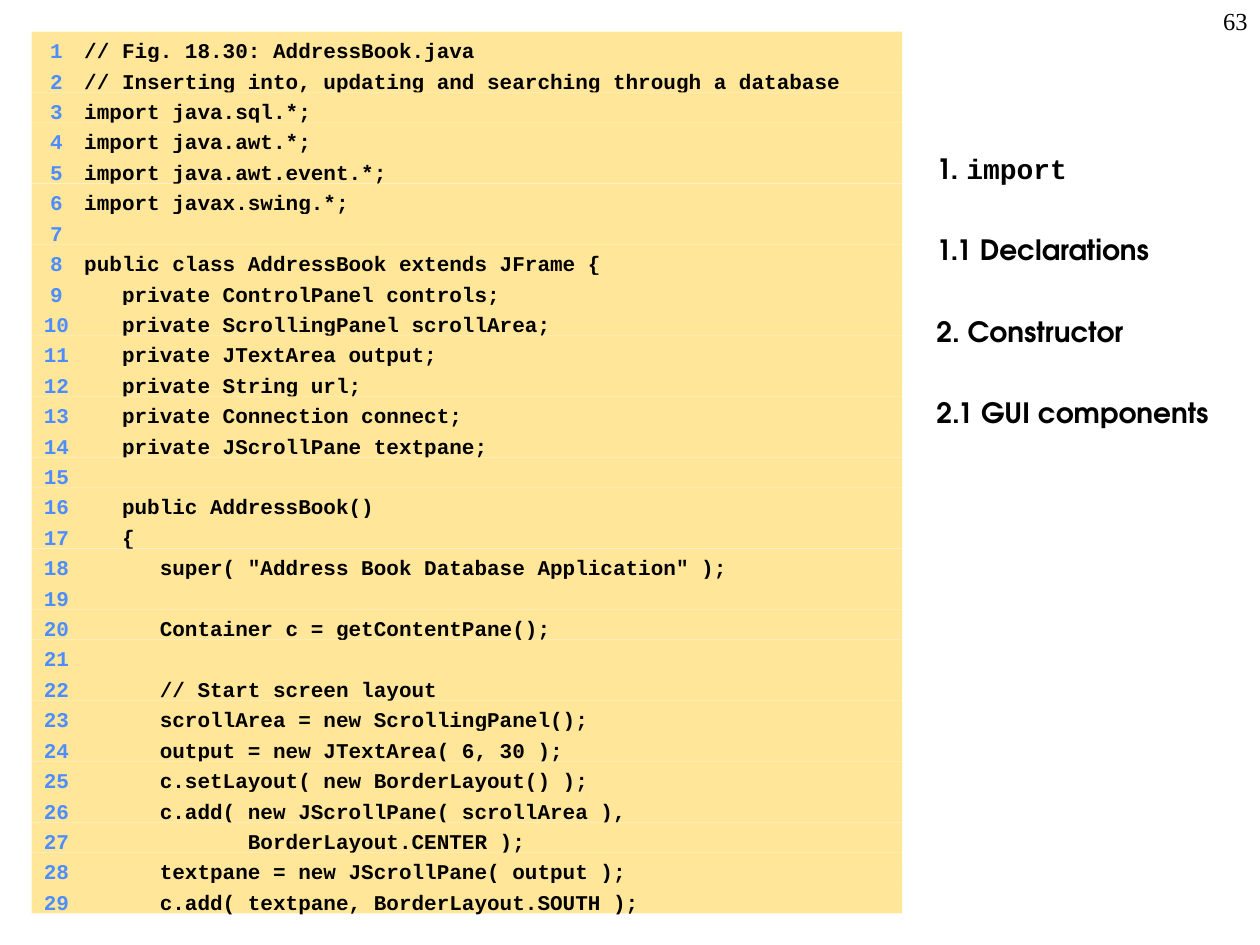
from lxml.etree import SubElement
from pptx import Presentation
from pptx.dml.color import RGBColor
from pptx.enum.shapes import MSO_SHAPE
from pptx.enum.text import MSO_ANCHOR, PP_ALIGN
from pptx.oxml.ns import qn
from pptx.util import Pt

CODE_LINES = [
    "// Fig. 18.30: AddressBook.java",
    "// Inserting into, updating and searching through a database",
    "import java.sql.*;",
    "import java.awt.*;",
    "import java.awt.event.*;",
    "import javax.swing.*;",
    "",
    "public class AddressBook extends JFrame {",
    "   private ControlPanel controls;",
    "   private ScrollingPanel scrollArea;",
    "   private JTextArea output;",
    "   private String url;",
    "   private Connection connect;",
    "   private JScrollPane textpane;",
    "",
    "   public AddressBook()",
    "   {",
    '      super( "Address Book Database Application" );',
    "",
    "      Container c = getContentPane();",
    "",
    "      // Start screen layout",
    "      scrollArea = new ScrollingPanel();",
    "      output = new JTextArea( 6, 30 );",
    "      c.setLayout( new BorderLayout() );",
    "      c.add( new JScrollPane( scrollArea ),",
    "             BorderLayout.CENTER );",
    "      textpane = new JScrollPane( output );",
    "      c.add( textpane, BorderLayout.SOUTH );",
]
CODE_FONT = "Courier New"
OUTLINE_FONT = "TeX Gyre Adventor"
OUTLINE = [
    [("1. ", OUTLINE_FONT), ("import", CODE_FONT)],
    [("1.1 Declarations", OUTLINE_FONT)],
    [("2. Constructor", OUTLINE_FONT)],
    [("2.1 GUI components", OUTLINE_FONT)],
]
PAGE_NUMBER = "63"

BLACK = RGBColor(0x00, 0x00, 0x00)
NUMBER_BLUE = RGBColor(0x4D, 0x8D, 0xFF)
CODE_YELLOW = RGBColor(0xFF, 0xE6, 0x99)

CODE_LEFT, CODE_TOP, CODE_WIDTH, CODE_HEIGHT = 18, 18, 497.5, 504
ROW_HEIGHT = CODE_HEIGHT / len(CODE_LINES)
TAB_STOPS = [(10.8, "r"), (23.04, "l")]
OUTLINE_GAP = 27.15


def add_run(paragraph, text, font_name, size, color, bold=True):
    run = paragraph.add_run()
    run.text = text
    run.font.name = font_name
    run.font.size = Pt(size)
    run.font.bold = bold
    run.font.color.rgb = color


def add_tab_stops(paragraph):
    tab_list = SubElement(paragraph._p.get_or_add_pPr(), qn("a:tabLst"))
    for position, alignment in TAB_STOPS:
        SubElement(tab_list, qn("a:tab"), pos=str(Pt(position)), algn=alignment)


def add_code_row(slide, index, code):
    row = slide.shapes.add_shape(
        MSO_SHAPE.RECTANGLE, Pt(CODE_LEFT), Pt(CODE_TOP + index * ROW_HEIGHT),
        Pt(CODE_WIDTH), Pt(ROW_HEIGHT))
    row.shadow.inherit = False
    row.fill.solid()
    row.fill.fore_color.rgb = CODE_YELLOW
    row.line.fill.background()
    row.text_frame.word_wrap = True
    row.text_frame.vertical_anchor = MSO_ANCHOR.TOP
    paragraph = row.text_frame.paragraphs[0]
    paragraph.alignment = PP_ALIGN.LEFT
    add_tab_stops(paragraph)
    add_run(paragraph, f"\t{index + 1}\t", CODE_FONT, 12, NUMBER_BLUE)
    if code:
        add_run(paragraph, code, CODE_FONT, 12, BLACK)


def add_outline(slide):
    box = slide.shapes.add_textbox(Pt(528), Pt(60), Pt(192), Pt(480))
    text_frame = box.text_frame
    text_frame.word_wrap = True
    text_frame.margin_top = Pt(26.75)
    for index, parts in enumerate(OUTLINE):
        if index:
            paragraph = text_frame.add_paragraph()
            paragraph.space_before = Pt(OUTLINE_GAP)
        else:
            paragraph = text_frame.paragraphs[0]
        for text, font_name in parts:
            add_run(paragraph, text, font_name, 16, BLACK)


def add_page_number(slide):
    box = slide.shapes.add_textbox(Pt(570), Pt(0), Pt(150), Pt(36))
    box.text_frame.word_wrap = True
    paragraph = box.text_frame.paragraphs[0]
    paragraph.alignment = PP_ALIGN.RIGHT
    add_run(paragraph, PAGE_NUMBER, "Times New Roman", 14, BLACK, bold=False)


def main():
    presentation = Presentation()
    presentation.slide_width = Pt(720)
    presentation.slide_height = Pt(540)
    slide = presentation.slides.add_slide(presentation.slide_layouts[6])
    add_outline(slide)
    for index, code in enumerate(CODE_LINES):
        add_code_row(slide, index, code)
    add_page_number(slide)
    presentation.save("out.pptx")


if __name__ == "__main__":
    main()
